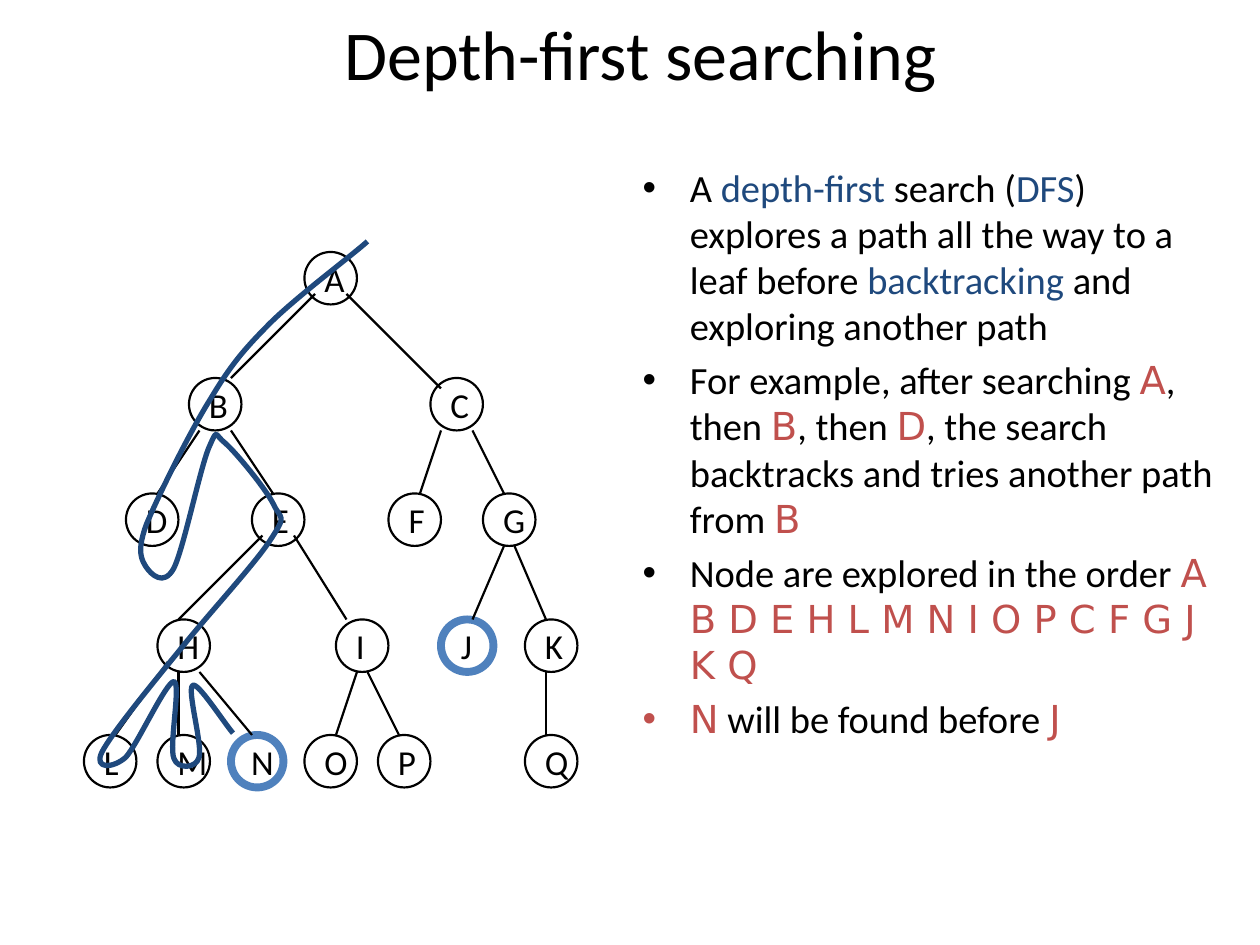
"""Build the depth-first searching slide."""
from dataclasses import dataclass

from lxml.etree import SubElement
from pptx import Presentation
from pptx.dml.color import RGBColor
from pptx.enum.shapes import MSO_CONNECTOR, MSO_SHAPE
from pptx.enum.text import MSO_ANCHOR, MSO_AUTO_SIZE, PP_ALIGN
from pptx.oxml.ns import qn
from pptx.util import Pt


@dataclass(frozen=True)
class Theme:
    font: str = "Calibri"
    node_font: str = "DejaVu Sans"
    text: str = "000000"
    term: str = "1F497D"
    node: str = "C0504D"
    goal: str = "4F81BD"
    title_size: int = 40
    body_size: int = 22
    label_size: int = 20
    thin: float = 1.25
    route: float = 3
    thick: float = 4.5


THEME = Theme()
STYLES = {
    "text": (THEME.font, THEME.text),
    "term": (THEME.font, THEME.term),
    "node": (THEME.node_font, THEME.node),
}

TITLE = "Depth-first searching"
BULLETS = [
    [("A ", "text"), ("depth-first", "term"), (" search (", "text"), ("DFS", "term"),
     (") explores a path all the way to a leaf before ", "text"),
     ("backtracking", "term"), (" and exploring another path", "text")],
    [("For example, after searching ", "text"), ("A", "node"), (", then ", "text"),
     ("B", "node"), (", then ", "text"), ("D", "node"),
     (", the search backtracks and tries another path from ", "text"), ("B", "node")],
    [("Node are explored in the order ", "text"),
     ("A B D E H L M N I O P C F G J K Q", "node")],
    [("N", "node"), (" will be found before ", "text"), ("J", "node")],
]

UNIT = 6
NODE_SIZE = 5
GOALS = "NJ"
LEVELS = [
    (24, {"A": 29}),
    (36, {"B": 18, "C": 41}),
    (47, {"D": 12, "E": 24, "F": 37, "G": 46}),
    (59, {"H": 15, "I": 32, "J": 42, "K": 50}),
    (70, {"L": 8, "M": 15, "N": 22, "O": 29, "P": 36, "Q": 50}),
]
EDGES = [
    (30, 28, 22, 36), (33, 28, 42, 37),
    (19, 41, 15, 47), (22, 41, 26, 47), (42, 41, 40, 47), (45, 41, 48, 47),
    (25, 51, 17, 59), (28, 51, 33, 59), (48, 52, 45, 59), (49, 52, 52, 59),
    (16, 63, 11, 70), (17, 64, 17, 70), (19, 64, 24, 70),
    (34, 64, 32, 70), (35, 64, 38, 70), (52, 64, 52, 70),
]
ROUTE_START = (210, 138)
ROUTE_CURVES = [
    ((200.9, 146.2), (169.2, 169.9), (154.1, 185)),
    ((139, 200.2), (131.8, 208.8), (120.2, 228.2)),
    ((108, 247.7), (90, 284.4), (83.5, 300.2)),
    ((77.8, 316.1), (81.4, 320.4), (83.5, 324)),
    ((86.4, 328.3), (93.6, 335.5), (99.4, 324.7)),
    ((105.1, 313.2), (114.5, 267.1), (119.5, 255.6)),
    ((124.6, 244.1), (122.4, 248.4), (128.9, 253.4)),
    ((135.4, 259.2), (151.9, 279.4), (156.2, 288)),
    ((160.6, 297.4), (164.2, 293.8), (154.8, 308.2)),
    ((146.2, 321.8), (118.1, 352.1), (102.2, 372.2)),
    ((85.7, 392.4), (63.4, 419.8), (58.3, 429.8)),
    ((53.3, 439.9), (64.8, 439.2), (72, 432.7)),
    ((78.5, 425.5), (95, 389.5), (99.4, 389.5)),
    ((103.7, 390.2), (96.5, 426.2), (99.4, 433.4)),
    ((101.5, 439.9), (112.3, 439.2), (113.8, 432.7)),
    ((115.9, 425.5), (106.6, 393.8), (110.2, 391.7)),
    ((113, 389.5), (128.2, 413.3), (133.2, 419)),
]


def place(sp, left, top, width, height):
    sp.left, sp.top, sp.width, sp.height = map(Pt, (left, top, width, height))


def add_run(p, text, size, style="text"):
    r = p.add_run()
    r.text = text
    r.font.name, color = STYLES[style]
    r.font.size = Pt(size)
    r.font.color.rgb = RGBColor.from_string(color)


def set_line(sp, color, width):
    sp.line.color.rgb = RGBColor.from_string(color)
    sp.line.width = Pt(width)


def set_bullet(p, color):
    pPr = p._p.get_or_add_pPr()
    pPr.set("marL", str(Pt(27)))
    pPr.set("indent", str(-Pt(27)))
    SubElement(SubElement(pPr, qn("a:buClr")), qn("a:srgbClr")).set("val", color)
    SubElement(pPr, qn("a:buFont")).set("typeface", "Arial")
    SubElement(pPr, qn("a:buChar")).set("char", "•")


def add_title(s):
    sp = s.shapes.title
    place(sp, 66, -12, 600, 84)
    tf = sp.text_frame
    tf.auto_size = MSO_AUTO_SIZE.NONE
    tf.vertical_anchor = MSO_ANCHOR.MIDDLE
    p = tf.paragraphs[0]
    p.alignment = PP_ALIGN.CENTER
    add_run(p, TITLE, THEME.title_size)


def add_body(s):
    sp = s.placeholders[1]
    place(sp, 360, 90, 342, 396)
    tf = sp.text_frame
    tf.auto_size = MSO_AUTO_SIZE.NONE
    for i, runs in enumerate(BULLETS):
        p = tf.add_paragraph() if i else tf.paragraphs[0]
        set_bullet(p, STYLES[runs[0][1]][1])
        p.space_before = Pt(4.4 if i else 0)
        for text, style in runs:
            add_run(p, text, THEME.body_size, style)


def add_node(shapes, name, x, y):
    size = Pt(NODE_SIZE * UNIT)
    sp = shapes.add_shape(MSO_SHAPE.OVAL, Pt(x * UNIT), Pt(y * UNIT), size, size)
    sp.shadow.inherit = False
    sp.fill.background()
    if name in GOALS:
        set_line(sp, THEME.goal, THEME.thick)
    else:
        set_line(sp, THEME.text, THEME.thin)
    tf = sp.text_frame
    tf.vertical_anchor = MSO_ANCHOR.MIDDLE
    p = tf.paragraphs[0]
    p.alignment = PP_ALIGN.LEFT
    add_run(p, name, THEME.label_size)


def add_tree(s):
    shapes = s.shapes.add_group_shape().shapes
    for y, nodes in LEVELS:
        for name, x in nodes.items():
            add_node(shapes, name, x, y)
    for edge in EDGES:
        line = shapes.add_connector(MSO_CONNECTOR.STRAIGHT, *(Pt(v * UNIT) for v in edge))
        set_line(line, THEME.text, THEME.thin)
        SubElement(line._element.spPr, qn("a:effectLst"))


def add_route(s):
    builder = s.shapes.build_freeform(*map(Pt, ROUTE_START))
    points = [(Pt(x), Pt(y)) for curve in ROUTE_CURVES for x, y in curve]
    builder.add_line_segments(points, close=False)
    sp = builder.convert_to_shape()
    sp.shadow.inherit = False
    sp.fill.background()
    set_line(sp, THEME.term, THEME.route)
    outline = next(sp._element.iter(qn("a:path")))
    steps = outline.findall(qn("a:lnTo"))
    for i in range(0, len(steps), 3):
        curve = SubElement(outline, qn("a:cubicBezTo"))
        for step in steps[i:i + 3]:
            curve.append(step[0])
            outline.remove(step)


def main():
    prs = Presentation()
    prs.slide_width, prs.slide_height = Pt(720), Pt(540)
    s = prs.slides.add_slide(prs.slide_layouts[1])
    add_title(s)
    add_body(s)
    add_tree(s)
    add_route(s)
    prs.save("out.pptx")


if __name__ == "__main__":
    main()
